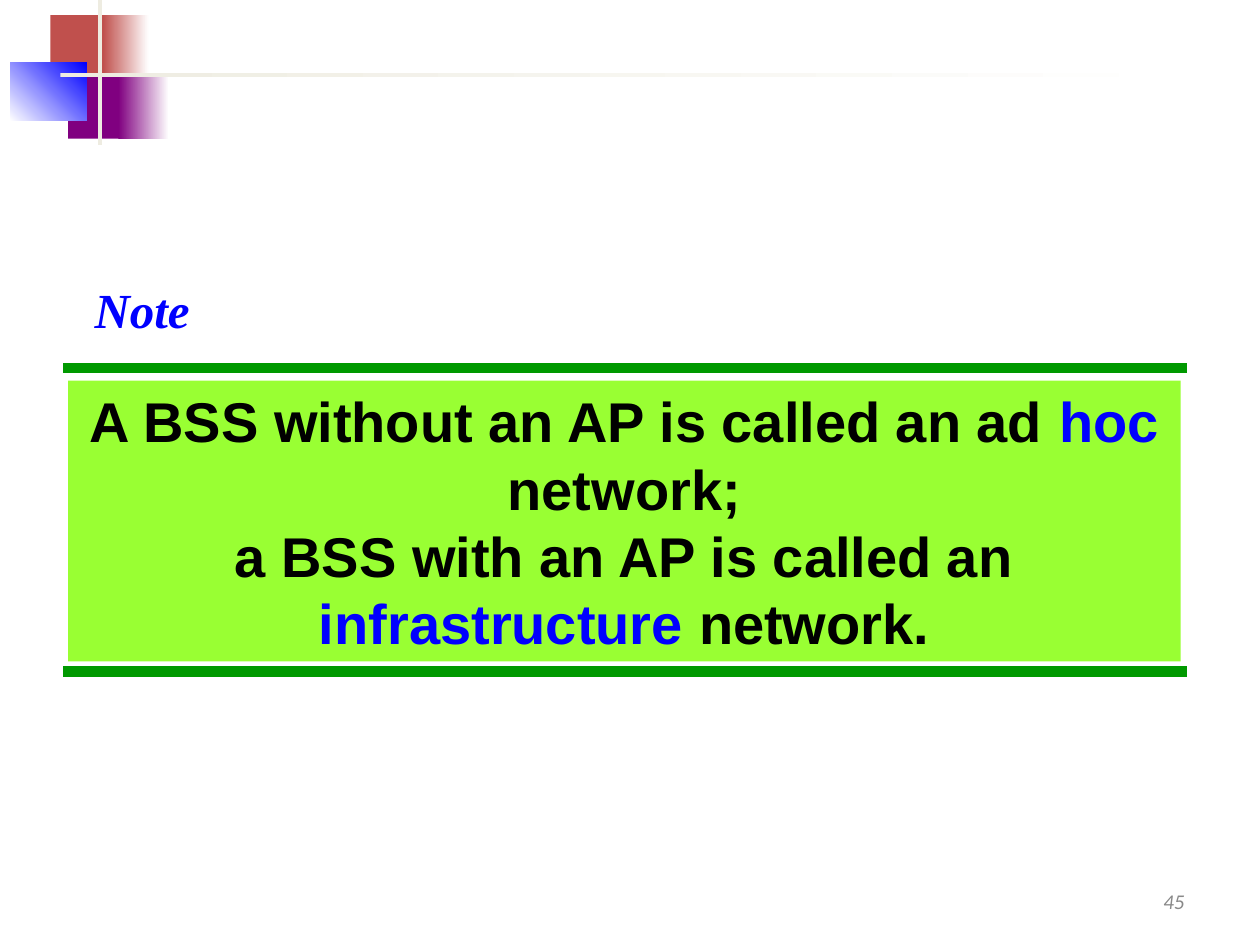
from dataclasses import dataclass

from lxml.etree import SubElement
from pptx import Presentation
from pptx.dml.color import RGBColor
from pptx.enum.shapes import MSO_CONNECTOR, MSO_SHAPE
from pptx.enum.text import MSO_ANCHOR, MSO_AUTO_SIZE, PP_ALIGN
from pptx.oxml.ns import qn
from pptx.util import Inches, Pt


@dataclass(frozen=True)
class Theme:
    red: str = "C0504D"
    purple: str = "800080"
    blue: str = "0000FF"
    cream: str = "EEECE1"
    white: str = "FFFFFF"
    black: str = "000000"
    green: str = "009900"
    lime: str = "99FF33"
    gray: str = "898989"
    sans: str = "Arial"
    serif: str = "Times New Roman"
    plain: str = "Calibri"
    large: int = 32
    head: int = 28
    small: int = 12
    rule: int = 6


class Deck:
    cols, rows = 100, 75

    def __init__(self, theme):
        self.theme = theme
        self.file = Presentation()
        self.file.slide_width = Inches(10)
        self.file.slide_height = Inches(7.5)
        self.slide = self.file.slides.add_slide(self.file.slide_layouts[1])

    def across(self, col):
        return round(self.file.slide_width * col / self.cols)

    def down(self, row):
        return round(self.file.slide_height * row / self.rows)

    def area(self, left, top, width, height):
        return self.across(left), self.down(top), self.across(width), self.down(height)

    def block(self, area, color, fade=None, angle=0):
        shape = self.slide.shapes.add_shape(MSO_SHAPE.RECTANGLE, *self.area(*area))
        shape.shadow.inherit = False
        shape.line.fill.background()
        if fade is None:
            shape.fill.solid()
            shape.fill.fore_color.rgb = RGBColor.from_string(color)
            return
        shape.fill.gradient()
        shape.fill.gradient_angle = angle
        for stop, tone in zip(shape.fill.gradient_stops, (color, fade)):
            stop.color.rgb = RGBColor.from_string(tone)

    def rule(self, left, right, row):
        line = self.slide.shapes.add_connector(
            MSO_CONNECTOR.STRAIGHT,
            self.across(left), self.down(row), self.across(right), self.down(row))
        line.line.color.rgb = RGBColor.from_string(self.theme.green)
        line.line.width = Pt(self.theme.rule)
        SubElement(line._element.spPr, qn("a:effectLst"))

    def text(self, shape, area, lines, font, size, align,
             anchor=MSO_ANCHOR.TOP, wrap=True, bold=False, slant=False):
        shape.left, shape.top, shape.width, shape.height = self.area(*area)
        frame = shape.text_frame
        frame.word_wrap = wrap
        frame.auto_size = MSO_AUTO_SIZE.NONE
        frame.vertical_anchor = anchor
        for index, runs in enumerate(lines):
            para = frame.add_paragraph() if index else frame.paragraphs[0]
            para.alignment = align
            para.space_before = Pt(0)
            for words, color in runs:
                run = para.add_run()
                run.text = words
                run.font.name = font
                run.font.size = Pt(size)
                run.font.bold = bold
                run.font.italic = slant
                run.font.color.rgb = RGBColor.from_string(color)
        return frame

    def title(self, area, words):
        theme = self.theme
        self.text(self.slide.shapes.title, area, [[(words, theme.blue)]],
                  theme.serif, theme.head, PP_ALIGN.LEFT,
                  wrap=False, bold=True, slant=True)

    def body(self, area, lines):
        theme = self.theme
        shape = self.slide.placeholders[1]
        shape.fill.solid()
        shape.fill.fore_color.rgb = RGBColor.from_string(theme.lime)
        frame = self.text(shape, area, lines, theme.sans, theme.large,
                          PP_ALIGN.CENTER, bold=True)
        for para in frame.paragraphs:
            props = para._p.get_or_add_pPr()
            props.set("marL", "0")
            props.set("indent", "0")
            SubElement(props, qn("a:buNone"))

    def number(self, area, words):
        theme = self.theme
        box = self.slide.shapes.add_textbox(*self.area(*area))
        self.text(box, area, [[(words, theme.gray)]], theme.plain, theme.small,
                  PP_ALIGN.RIGHT, anchor=MSO_ANCHOR.MIDDLE, slant=True)

    def save(self):
        self.file.save("out.pptx")


def main():
    theme = Theme()
    deck = Deck(theme)

    deck.block((4, 1.2, 4.8, 5.2), theme.red)
    deck.block((8.2, 1.2, 3.6, 5.2), theme.red, theme.white)
    deck.block((5.4, 5.8, 4.6, 5.2), theme.purple)
    deck.block((9.4, 5.8, 4, 5.2), theme.purple, theme.white)
    deck.block((0.8, 5, 6.1, 4.6), theme.white, theme.blue, 45)
    deck.block((7.8, 0, 0.3, 11.5), theme.cream)
    deck.block((4.8, 5.8, 90, 0.3), theme.cream, theme.white)

    for row in (29.2, 53.3):
        deck.rule(5, 94.2, row)

    deck.title((6.5, 21.7, 9.6, 5.7), "Note")
    deck.body((5.4, 30.2, 88.3, 22.3), [
        [("A BSS without an AP is called an ad", theme.black),
         (" hoc", theme.blue), (" network;", theme.black)],
        [("a BSS with an AP is called an", theme.black),
         (" infrastructure", theme.blue), (" network.", theme.black)],
    ])
    deck.number((71.7, 69.5, 23.3, 4), "45")
    deck.save()


if __name__ == "__main__":
    main()
